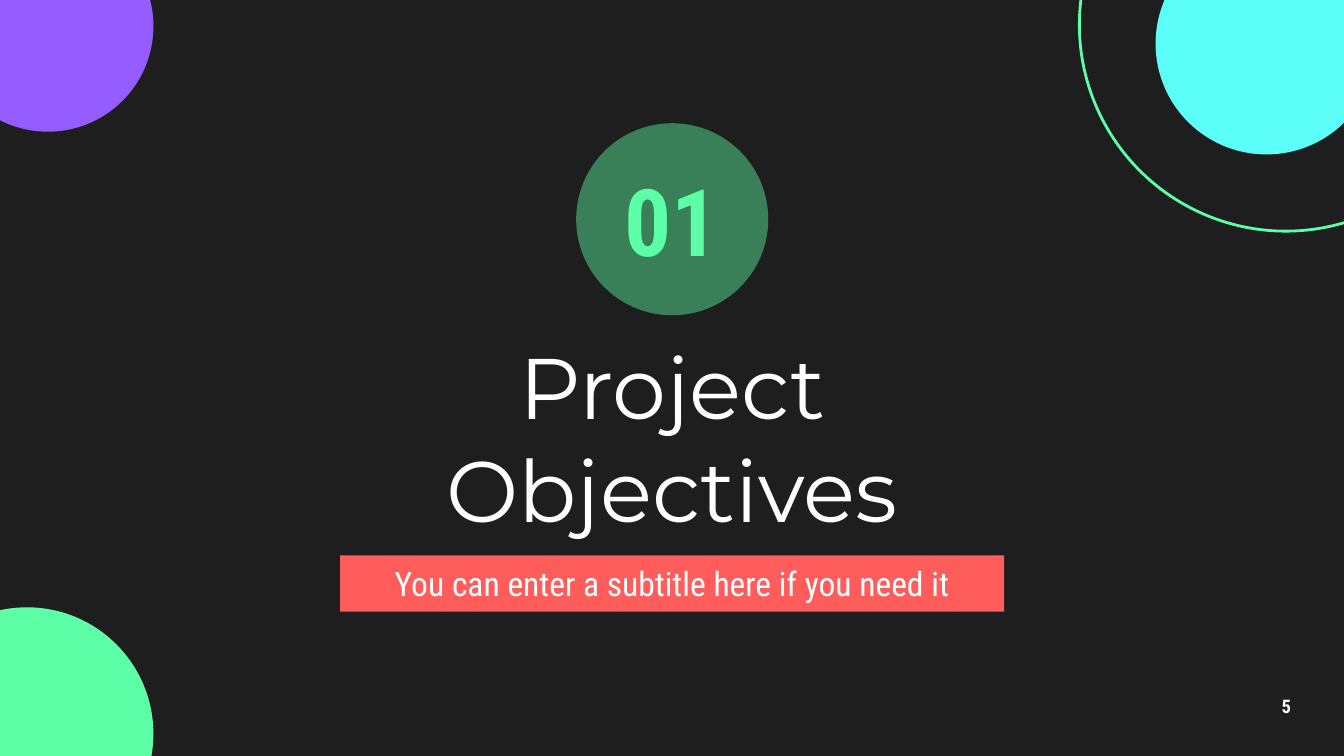
import pptx
import pptx.util
import pptx.dml.color
import pptx.enum.shapes
import pptx.enum.text
import pptx.oxml.ns
from lxml import etree
from pptx.util import Cm

HUES = {
    "back": "1E1E1E",
    "green": "5CFFA6",
    "cyan": "5CFFF8",
    "purple": "955CFF",
    "red": "FF5C5C",
    "white": "FFFFFF",
}


def paint(fill, hue):
    fill.solid()
    fill.fore_color.rgb = pptx.dml.color.RGBColor.from_string(HUES[hue])


def circle(slide, left, top, size, fill=None, line=None, alpha=None):
    oval = pptx.enum.shapes.MSO_SHAPE.OVAL
    disc = slide.shapes.add_shape(oval, Cm(left), Cm(top), Cm(size), Cm(size))
    disc.shadow.inherit = False
    if fill:
        paint(disc.fill, fill)
    else:
        disc.fill.background()
    if line:
        paint(disc.line.fill, line)
        disc.line.width = pptx.util.Pt(1.5)
    else:
        disc.line.fill.background()
    if alpha:
        tag = pptx.oxml.ns.qn("a:srgbClr")
        tint = next(disc.element.spPr.iter(tag))
        etree.SubElement(tint, pptx.oxml.ns.qn("a:alpha"), val=str(alpha * 1000))


def place(shape, left, top, width, height):
    shape.left, shape.top = Cm(left), Cm(top)
    shape.width, shape.height = Cm(width), Cm(height)


def write(shape, text, size, face="Roboto Condensed", hue="white", bold=False, space=1.0):
    frame = shape.text_frame
    frame.word_wrap = True
    frame.auto_size = pptx.enum.text.MSO_AUTO_SIZE.NONE
    frame.vertical_anchor = pptx.enum.text.MSO_ANCHOR.MIDDLE
    for side in ("left", "right", "top", "bottom"):
        setattr(frame, "margin_" + side, Cm(0.25))
    para = frame.paragraphs[0]
    para.alignment = pptx.enum.text.PP_ALIGN.CENTER
    para.line_spacing = space
    para.space_before = pptx.util.Pt(0)
    run = para.add_run()
    run.text = text
    run.font.name = face
    run.font.size = pptx.util.Pt(size)
    run.font.bold = bold
    paint(run.font.fill, hue)


def label(slide, box, text, size, **style):
    shape = slide.shapes.add_textbox(*map(Cm, box))
    write(shape, text, size, **style)


def main():
    deck = pptx.Presentation()
    deck.slide_width, deck.slide_height = Cm(25.4), Cm(14.29)
    slide = deck.slides.add_slide(deck.slide_layouts[0])
    paint(slide.background.fill, "back")

    circle(slide, 20.4, -3.43, 7.8, line="green")
    circle(slide, -1.88, 11.48, 4.78, fill="green")
    circle(slide, 21.84, -1.27, 4.19, fill="cyan")
    circle(slide, -1.09, -1.5, 3.99, fill="purple")
    circle(slide, 10.89, 2.33, 3.63, fill="green", alpha=44)

    title, sub = slide.placeholders
    place(title, 6.43, 6.43, 12.55, 3.63)
    write(title, "Project Objectives", 46, face="Montserrat")
    place(sub, 6.43, 10.5, 12.55, 1.06)
    paint(sub.fill, "red")
    write(sub, "You can enter a subtitle here if you need it", 18)

    label(slide, (11.07, 3.07, 3.25, 2.13), "01", 50, hue="green", bold=True)
    label(slide, (23.55, 12.95, 1.52, 0.86), "5", 10, bold=True, space=0.8)
    deck.save("out.pptx")


if __name__ == "__main__":
    main()
